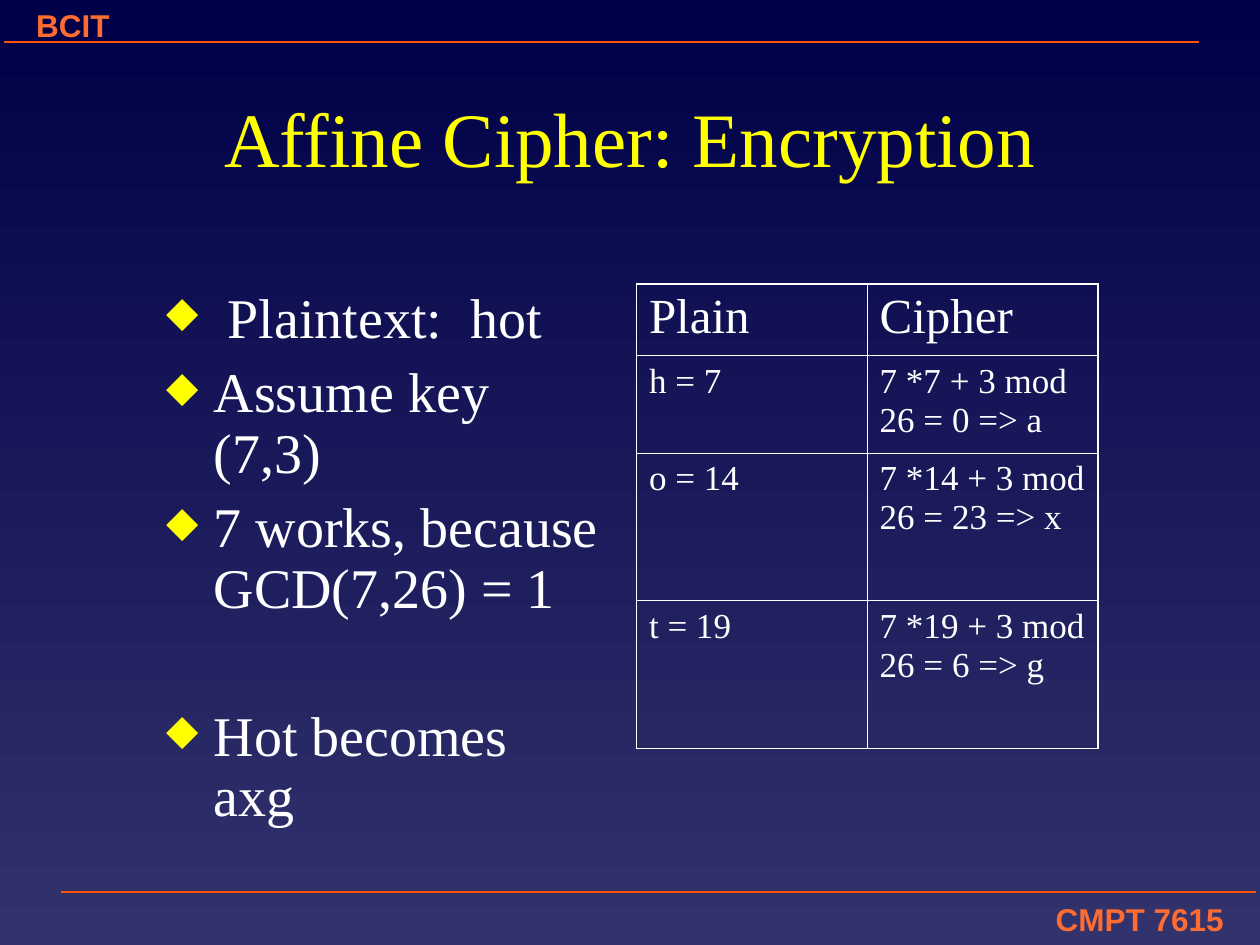
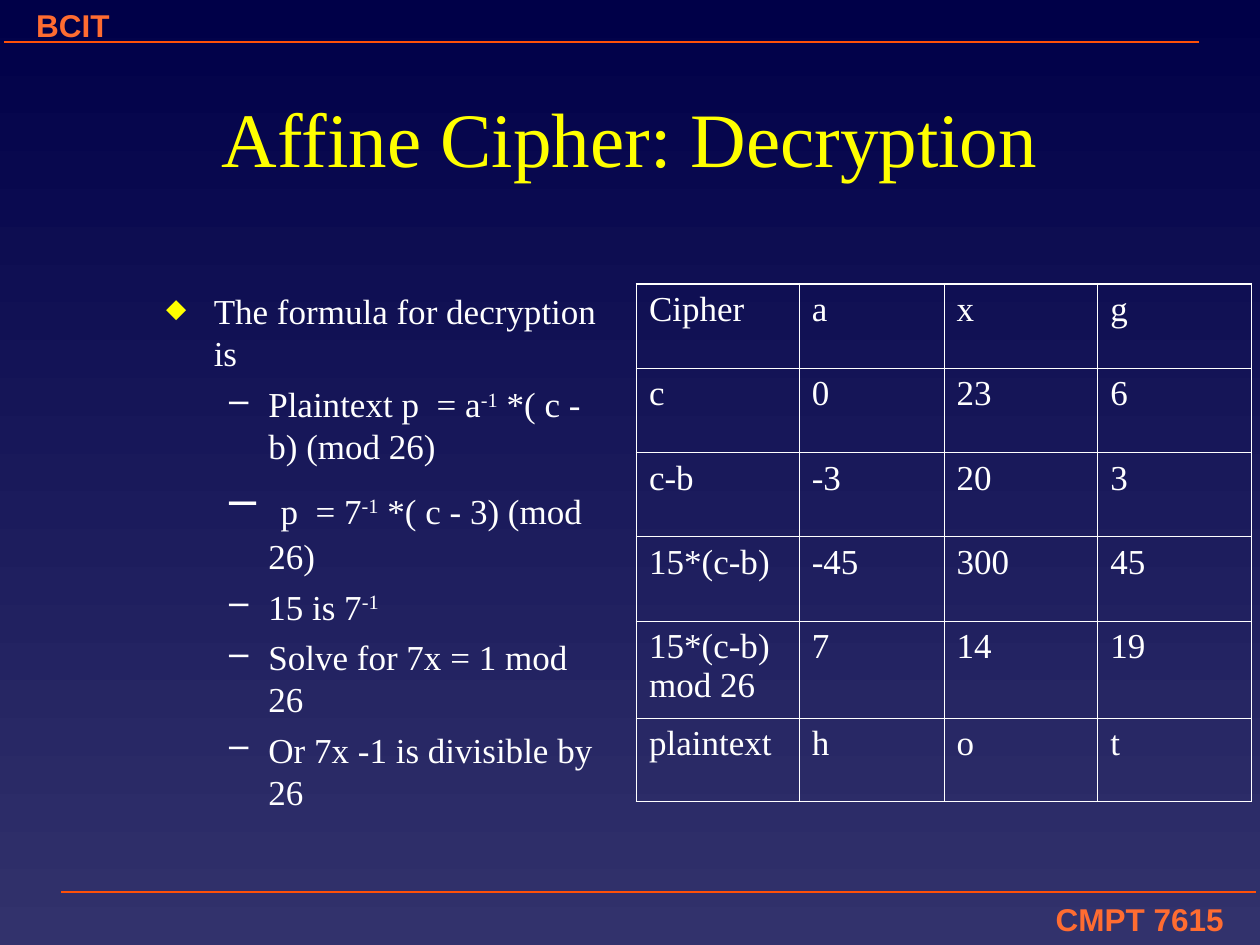
from dataclasses import dataclass

from lxml.etree import SubElement
from pptx import Presentation
from pptx.dml.color import RGBColor
from pptx.enum.shapes import MSO_CONNECTOR
from pptx.enum.text import MSO_ANCHOR, PP_ALIGN
from pptx.oxml.ns import qn
from pptx.util import Cm, Pt

# Shared look
SERIF, SANS = "Times New Roman", "Arial"
WHITE, GOLD, CORAL, RUST = "FFFFFF", "FFFF00", "FF6C31", "FF5008"
SKY = ("000048", "32326C")
THICK, THIN = 1.08, 0.45
TITLE = dict(name=SERIF, size=44, color=GOLD)
LABEL = dict(name=SANS, size=18, color=CORAL, bold=True)


@dataclass
class Box:
    left: float
    top: float
    width: float
    height: float


@dataclass
class Band:
    text: str
    box: Box
    align: PP_ALIGN
    start: float
    end: float
    rule: float


@dataclass
class Level:
    mark: str
    color: str
    scale: int
    left: float
    hang: float


@dataclass
class Item:
    text: str  # parts between ^ signs are raised
    level: int = 0
    gap: float = 5
    lead: int = 0  # size of the first character, if it differs


@dataclass
class Grid:
    cols: list[float]
    rows: list[float]
    cells: list[list[str]]
    head: int = 20


@dataclass
class Page:
    title: str
    items: list[Item]
    size: int
    pitch: float
    grid: Grid


HEAD = Box(3.1, 1.07, 19.2, 3.38)
BODY = Box(3.1, 5.72, 9.3, 11.86)
GRID_X, GRID_Y = 12.83, 5.72
BANDS = [
    Band("CMPT 7615", Box(13.46, 18.01, 11.46, 1.02), PP_ALIGN.RIGHT, 25.32, 1.22, 17.98),
    Band("BCIT", Box(0.48, 0, 11.46, 1.02), PP_ALIGN.LEFT, 24.18, 0.08, 0.84),
]
LEVELS = [
    Level("◆", GOLD, 75, 0.96, 0.96),
    Level("–", WHITE, 100, 2.06, 0.79),
]

PAGES = [
    Page(
        "Affine Cipher: Encryption",
        [
            Item(" Plaintext:  hot"),
            Item("Assume key (7,3)", gap=8),
            Item("7 works, because GCD(7,26) = 1", gap=8),
            Item("Hot becomes axg", gap=50),
        ],
        32,
        0.9,
        Grid(
            [4.65] * 2,
            [1.45, 1.96, 2.98, 2.98],
            [
                ["Plain", "Cipher"],
                ["h = 7", "7 *7 + 3 mod 26 = 0 => a"],
                ["o = 14", "7 *14 + 3 mod 26 = 23 => x"],
                ["t = 19", "7 *19 + 3 mod 26 = 6 => g"],
            ],
            head=28,
        ),
    ),
    Page(
        "Affine Cipher: Decryption",
        [
            Item("The formula for decryption is"),
            Item("Plaintext p  = a^-1^ *( c - b) (mod 26)", 1),
            Item(" p  = 7^-1^ *( c - 3) (mod 26)", 1, lead=28),
            Item("15 is 7^-1", 1),
            Item("Solve for 7x = 1 mod 26", 1),
            Item("Or 7x -1 is divisible by 26", 1),
        ],
        20,
        1.0,
        Grid(
            [3.28, 2.92, 3.1, 3.1],
            [1.7] * 4 + [1.96, 1.68],
            [
                ["Cipher", "a", "x", "g"],
                ["c", "0", "23", "6"],
                ["c-b", "-3", "20", "3"],
                ["15*(c-b)", "-45", "300", "45"],
                ["15*(c-b) mod 26", "7", "14", "19"],
                ["plaintext", "h", "o", "t"],
            ],
        ),
    ),
]


def rgb(code: str) -> RGBColor:
    return RGBColor.from_string(code)


def style(font, look: dict) -> None:
    for key, value in look.items():
        if key == "color":
            font.color.rgb = rgb(value)
        else:
            setattr(font, key, Pt(value) if key == "size" else value)


def add_run(para, text: str, look: dict, raised: bool = False) -> None:
    run = para.add_run()
    run.text = text
    style(run.font, look)
    if raised:
        run.font._element.set("baseline", "30000")


def add_box(slide, box: Box):
    sizes = (box.left, box.top, box.width, box.height)
    frame = slide.shapes.add_textbox(*map(Cm, sizes)).text_frame
    frame.word_wrap = True
    return frame


def add_line(slide, text: str, box: Box, align: PP_ALIGN, look: dict):
    frame = add_box(slide, box)
    para = frame.paragraphs[0]
    para.alignment = align
    add_run(para, text, look)
    return frame


def add_band(slide, band: Band) -> None:
    add_line(slide, band.text, band.box, band.align, LABEL)
    ends = (band.start, band.rule, band.end, band.rule)
    rule = slide.shapes.add_connector(MSO_CONNECTOR.STRAIGHT, *map(Cm, ends))
    rule.line.color.rgb = rgb(RUST)
    rule.line.width = Pt(1)
    SubElement(rule._element.spPr, qn("a:effectLst"))


def add_mark(para, level: Level) -> None:
    props = para._p.get_or_add_pPr()
    props.set("marL", str(Cm(level.left)))
    props.set("indent", str(-Cm(level.hang)))
    tint = SubElement(props, qn("a:buClr"))
    SubElement(tint, qn("a:srgbClr"), val=level.color)
    SubElement(props, qn("a:buSzPct"), val=str(level.scale * 1000))
    SubElement(props, qn("a:buChar"), char=level.mark)


def add_list(slide, page: Page) -> None:
    frame = add_box(slide, BODY)
    look = dict(name=SERIF, size=page.size, color=WHITE)
    for num, item in enumerate(page.items):
        para = frame.add_paragraph() if num else frame.paragraphs[0]
        para.level = item.level
        add_mark(para, LEVELS[item.level])
        para.line_spacing = page.pitch
        para.space_before = Pt(item.gap if num else 0)
        text = item.text
        if item.lead:
            add_run(para, text[0], look | dict(size=item.lead))
            text = text[1:]
        for pos, part in enumerate(text.split("^")):
            if part:
                add_run(para, part, look, raised=pos % 2 == 1)


def add_edge(cell, side: str, width: float) -> None:
    edge = SubElement(cell._tc.get_or_add_tcPr(), qn(f"a:{side}"), w=str(Pt(width)))
    fill = SubElement(edge, qn("a:solidFill"))
    SubElement(fill, qn("a:srgbClr"), val=WHITE)


def add_grid(slide, grid: Grid) -> None:
    high, wide = len(grid.rows), len(grid.cols)
    sizes = (GRID_X, GRID_Y, sum(grid.cols), sum(grid.rows))
    table = slide.shapes.add_table(high, wide, *map(Cm, sizes)).table
    table.first_row = table.horz_banding = False
    for col, width in zip(table.columns, grid.cols):
        col.width = Cm(width)
    for row, height in zip(table.rows, grid.rows):
        row.height = Cm(height)
    for y, texts in enumerate(grid.cells):
        for x, text in enumerate(texts):
            cell = table.cell(y, x)
            size = 20 if y else grid.head
            look = dict(name=SERIF, size=size, color=WHITE)
            add_run(cell.text_frame.paragraphs[0], text, look)
            # Thick outer frame, thin inner lines
            outer = dict(lnL=x == 0, lnR=x == wide - 1, lnT=y == 0, lnB=y == high - 1)
            for side, edge in outer.items():
                add_edge(cell, side, THICK if edge else THIN)
            cell.fill.background()


def main() -> None:
    deck = Presentation()
    deck.slide_width, deck.slide_height = Cm(25.4), Cm(19.05)
    blank = deck.slide_layouts[6]
    for page in PAGES:
        slide = deck.slides.add_slide(blank)
        # Background, dark at the top
        back = slide.background.fill
        back.gradient()
        back.gradient_angle = 270
        for stop, color in zip(back.gradient_stops, SKY):
            stop.color.rgb = rgb(color)
        # Bands, title, list and table
        for band in BANDS:
            add_band(slide, band)
        title = add_line(slide, page.title, HEAD, PP_ALIGN.CENTER, TITLE)
        title.vertical_anchor = MSO_ANCHOR.MIDDLE
        add_list(slide, page)
        add_grid(slide, page.grid)
    deck.save("out.pptx")


if __name__ == "__main__":
    main()
